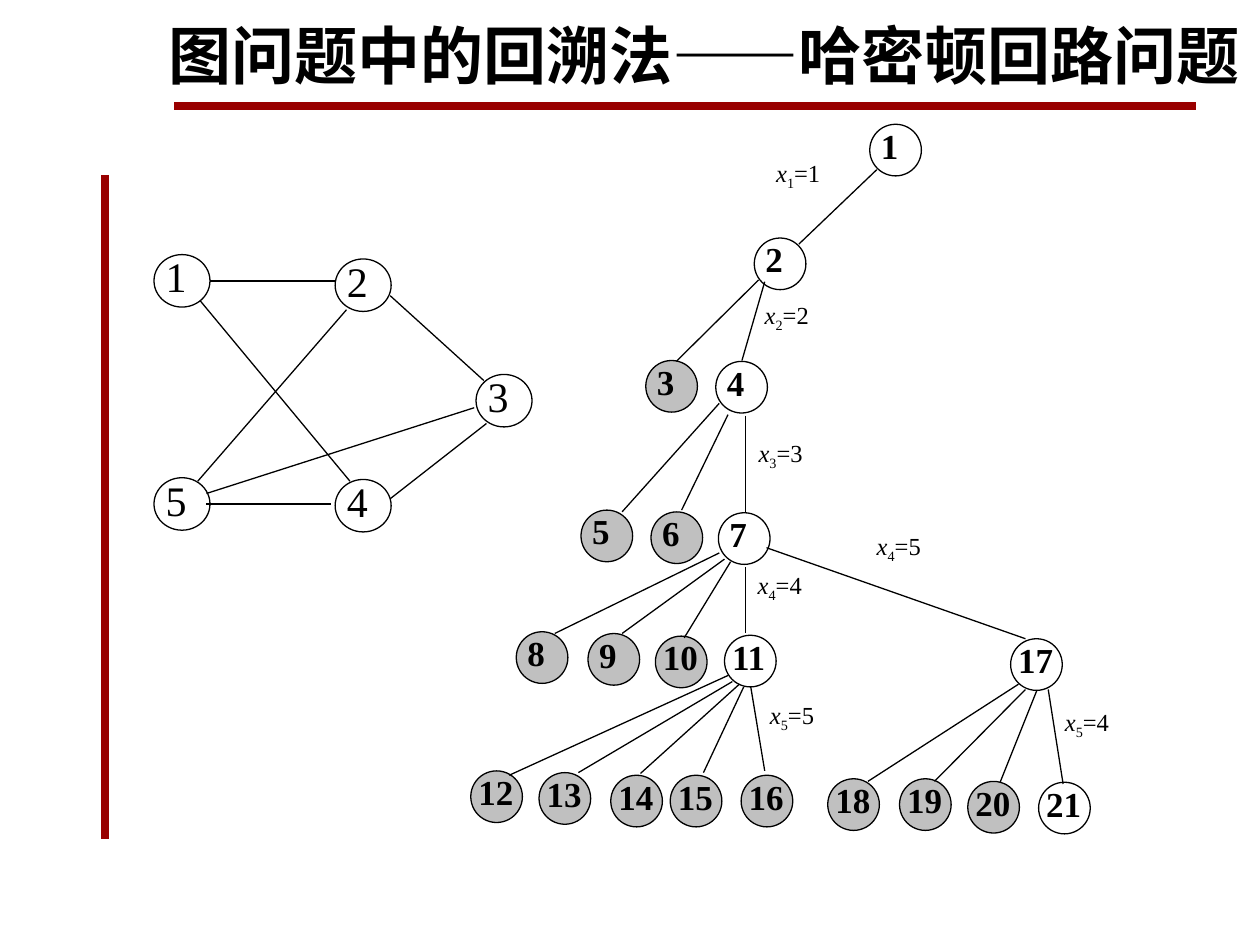
from lxml.etree import SubElement
from pptx import Presentation
from pptx.dml.color import RGBColor
from pptx.enum.shapes import MSO_CONNECTOR, MSO_SHAPE
from pptx.enum.text import MSO_ANCHOR, PP_ALIGN
from pptx.oxml.ns import qn
from pptx.util import Pt

GRAPH_NODES = {
    1: (88, 145.5), 2: (191.5, 148), 3: (272, 214), 4: (191.5, 274), 5: (88, 273),
}
GRAPH_EDGES = [
    (120, 160.5, 191.5, 160.5), (271, 233, 118, 282), (118, 288, 189, 288),
    (198, 177, 113, 275), (223, 169, 276.5, 217.5), (278, 242, 223, 285),
    (114.5, 172, 200, 275),
]
TREE_NODES = {
    1: (497, 71), 2: (431, 136), 3: (369, 206), 4: (409, 206.5),
    5: (332, 291.5), 6: (372, 292.5), 7: (410.5, 293), 8: (295, 361),
    9: (336, 362), 10: (374.5, 363.5), 11: (414, 363), 12: (269, 440.5),
    13: (308, 441.5), 14: (349, 443), 15: (383, 443), 16: (423.5, 443),
    17: (577.5, 365), 18: (473, 445), 19: (514, 445), 20: (553, 446.5),
    21: (593.5, 447),
}
WHITE_NODES = {1, 2, 4}
OPEN_NODES = {7, 11, 17, 21}
TREE_EDGES = [
    (501, 97, 456.5, 139.5), (437, 161, 424, 206), (433.5, 160, 386.5, 206.5),
    (411, 230.5, 355.5, 292.5), (416, 237, 389.5, 291.5), (426, 237.5, 426, 292.5),
    (411, 316, 317, 362), (414, 319.5, 355.5, 362), (417.5, 321, 391, 364.5),
    (426, 324, 426, 362), (438, 313, 586, 365),
    (416, 386, 291, 443), (418.5, 389.5, 330.5, 441.5), (422.5, 391, 366, 442),
    (425, 392.5, 402, 441.5), (429, 392.5, 437, 440.5),
    (582, 391, 496, 446.5), (586, 394, 534, 446.5),
    (592.5, 394.5, 571.5, 447), (599, 394, 607.5, 448),
]
CHOICES = [
    (1, 1, 443.5, 92), (2, 2, 437, 173), (3, 3, 433.5, 252), (4, 4, 433, 327.5),
    (4, 5, 501, 305), (5, 5, 440, 402), (5, 4, 608.5, 406),
]


def color(value):
    return RGBColor.from_string(value)


class Board:
    ink, accent, gray, white = "000000", "990000", "C0C0C0", "FFFFFF"
    serif, sans = "Times New Roman", "Noto Sans CJK SC"

    def __init__(self, s):
        self.s = s

    def frame(self, sp, left=0, anchor=MSO_ANCHOR.TOP):
        tf = sp.text_frame
        tf.word_wrap = True
        tf.vertical_anchor = anchor
        tf.margin_left = Pt(left)
        tf.margin_right = tf.margin_top = tf.margin_bottom = 0
        return tf

    def style(self, r, font, size, bold=False):
        r.font.name = font
        r.font.size = Pt(size)
        r.font.bold = bold
        r.font.color.rgb = color(self.ink)

    def title(self, text, x, y, w, h):
        sp = self.s.shapes.add_textbox(Pt(x), Pt(y), Pt(w), Pt(h))
        tf = self.frame(sp, anchor=MSO_ANCHOR.MIDDLE)
        tf.text = text
        p = tf.paragraphs[0]
        p.alignment = PP_ALIGN.CENTER
        r = p.runs[0]
        self.style(r, self.sans, 36, True)
        SubElement(r._r.get_or_add_rPr(), qn("a:ea")).set("typeface", self.sans)

    def line(self, x1, y1, x2, y2, ink=None, width=0.75):
        c = self.s.shapes.add_connector(
            MSO_CONNECTOR.STRAIGHT, Pt(x1), Pt(y1), Pt(x2), Pt(y2))
        c.line.color.rgb = color(ink or self.ink)
        c.line.width = Pt(width)
        SubElement(c._element.spPr, qn("a:effectLst"))

    def node(self, text, x, y, w, h, fill, size, bold, spacing):
        sp = self.s.shapes.add_shape(MSO_SHAPE.OVAL, Pt(x), Pt(y), Pt(w), Pt(h))
        sp.shadow.inherit = False
        if fill:
            sp.fill.solid()
            sp.fill.fore_color.rgb = color(fill)
        else:
            sp.fill.background()
        sp.line.color.rgb = color(self.ink)
        sp.line.width = Pt(0.75)
        tf = self.frame(sp, 2 if len(text) == 1 else 0, MSO_ANCHOR.MIDDLE)
        tf.text = text
        p = tf.paragraphs[0]
        p.alignment = PP_ALIGN.JUSTIFY
        p.line_spacing = spacing
        self.style(p.runs[0], self.serif, size, bold)

    def choice(self, index, value, x, y):
        sp = self.s.shapes.add_textbox(Pt(x), Pt(y), Pt(41), Pt(25))
        p = self.frame(sp).paragraphs[0]
        p.alignment = PP_ALIGN.JUSTIFY
        p.line_spacing = 0.8
        for text in ("x", str(index), f"={value}"):
            r = p.add_run()
            r.text = text
            self.style(r, self.serif, 14)
        p.runs[0].font.italic = True
        p.runs[1]._r.get_or_add_rPr().set("baseline", "-25000")


def main():
    prs = Presentation()
    prs.slide_width, prs.slide_height = Pt(720), Pt(540)
    board = Board(prs.slides.add_slide(prs.slide_layouts[6]))

    board.line(99.5, 60.5, 683.5, 60.5, board.accent, 4.5)
    board.line(60, 100, 60, 479.5, board.accent, 4.5)

    for number, (x, y) in GRAPH_NODES.items():
        board.node(str(number), x, y, 32, 30, board.white, 24, False, 0.8)
    for number, (x, y) in TREE_NODES.items():
        fill = board.white if number in WHITE_NODES else board.gray
        if number in OPEN_NODES:
            fill = None
        board.node(str(number), x, y, 29.5, 29.5, fill, 20, True, 0.72)
    for edge in GRAPH_EDGES + TREE_EDGES:
        board.line(*edge)
    for choice in CHOICES:
        board.choice(*choice)

    board.title("图问题中的回溯法——哈密顿回路问题", 93.5, 9.5, 618, 43)
    prs.save("out.pptx")


if __name__ == "__main__":
    main()
